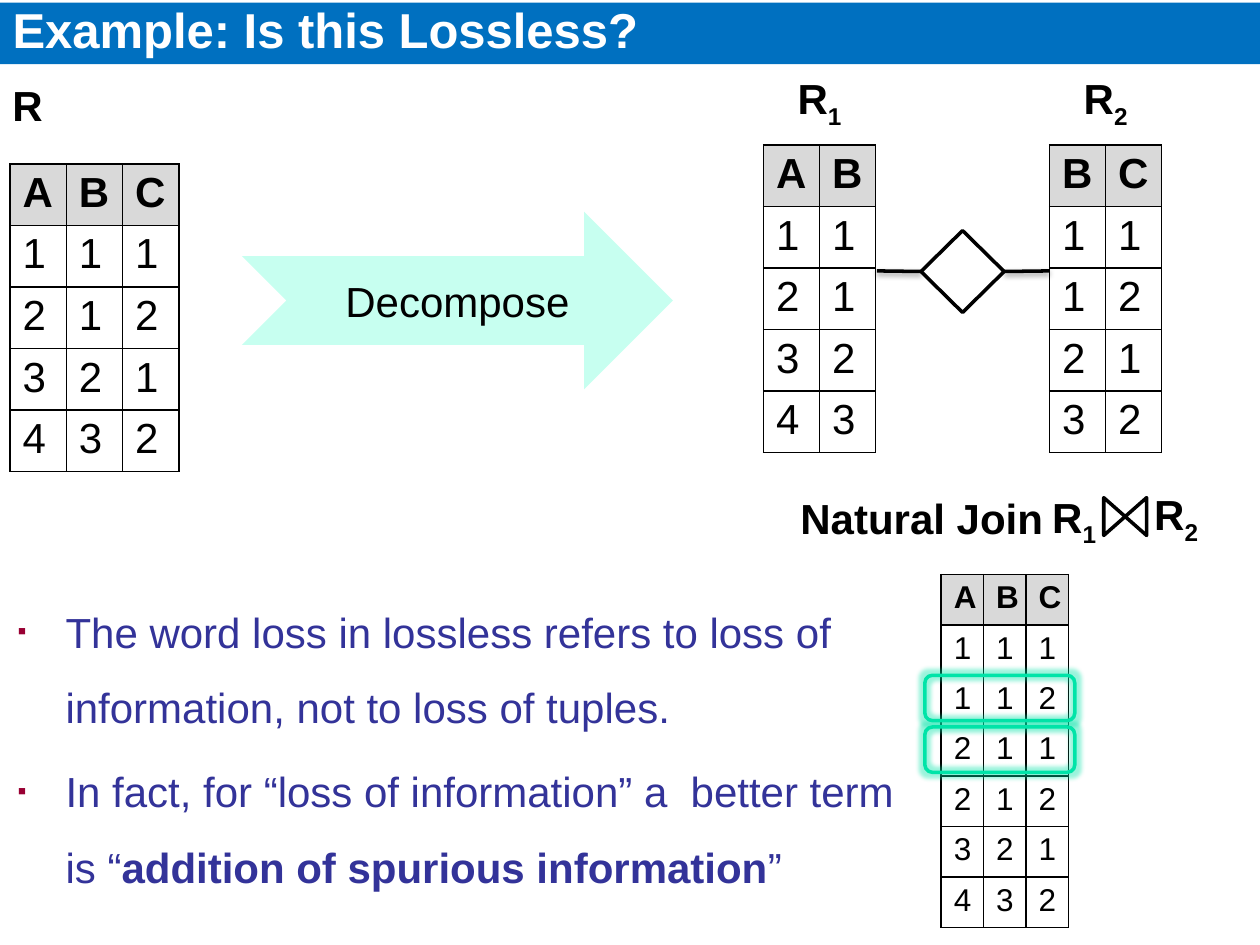
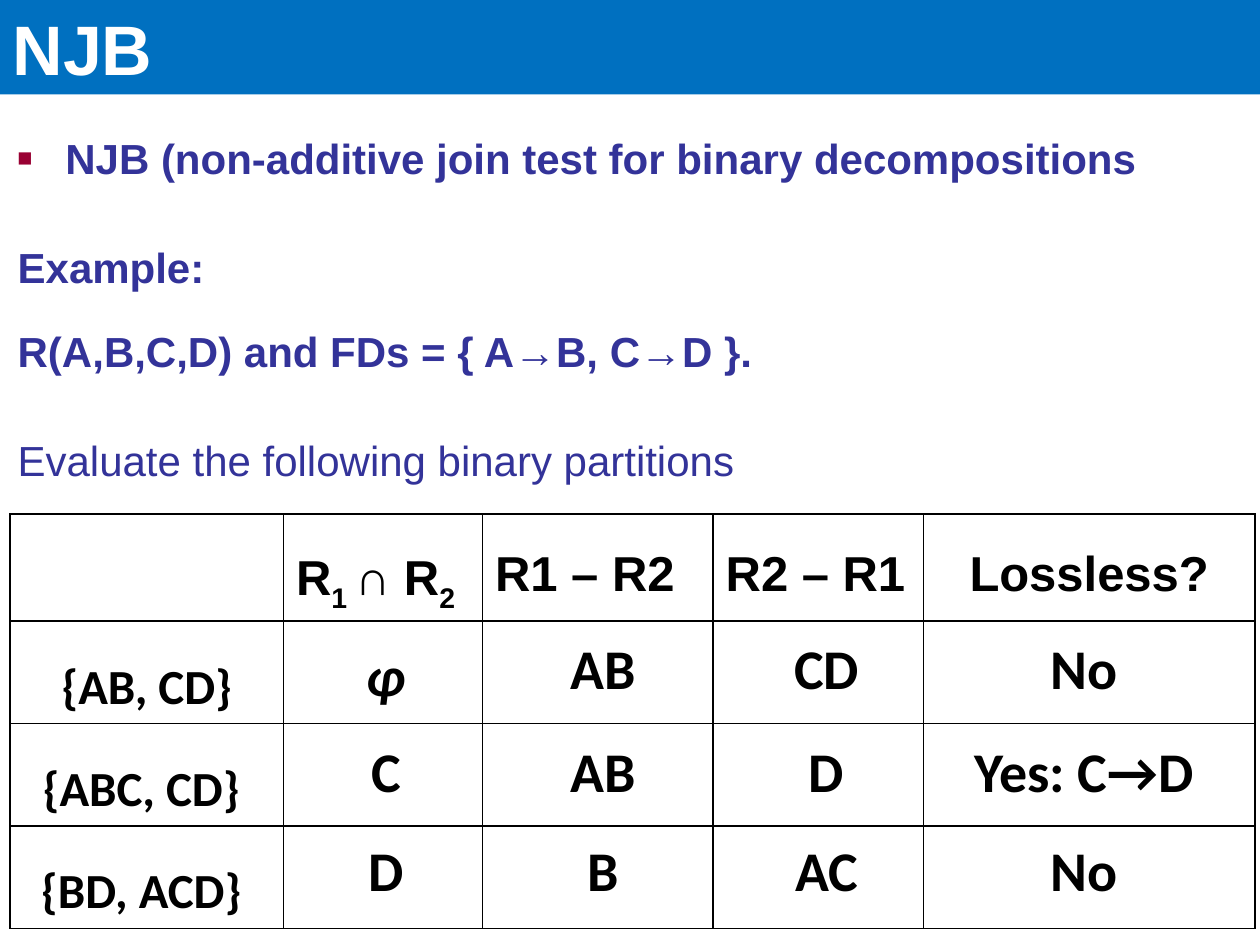
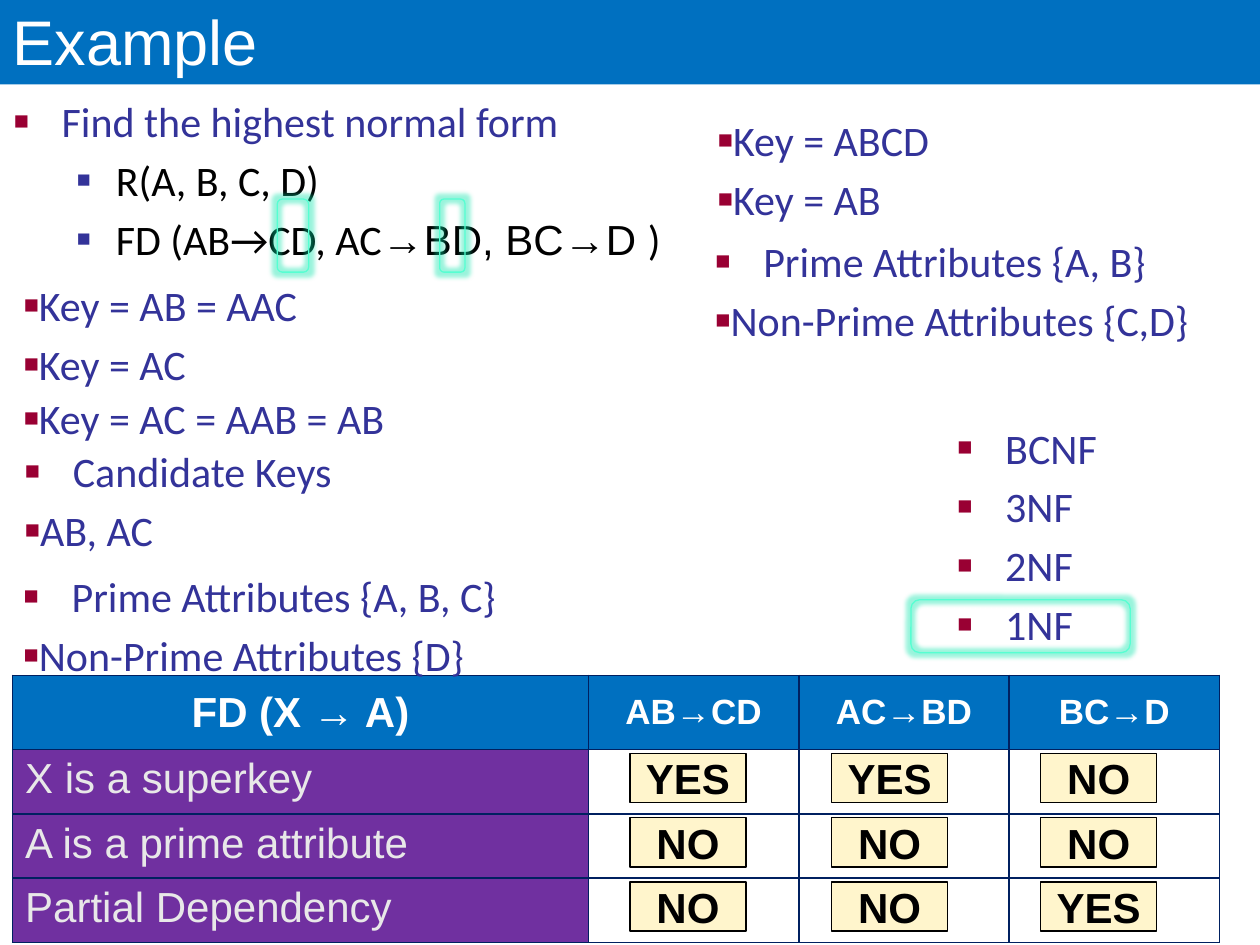
from typing import NamedTuple

from lxml import etree
from pptx import Presentation
from pptx import util as u
from pptx.dml.color import RGBColor
from pptx.enum import shapes, text
from pptx.oxml.ns import qn

BLUE = RGBColor(0x00, 0x70, 0xC0)
NAVY = RGBColor(0x00, 0x20, 0x60)
INDIGO = RGBColor(0x33, 0x33, 0x99)
MAROON = RGBColor(0x99, 0x00, 0x33)
PURPLE = RGBColor(0x70, 0x30, 0xA0)
GREEN = RGBColor(0x00, 0xE4, 0xA8)
AQUA = RGBColor(0x56, 0xFF, 0xD2)
MINT = RGBColor(0xC7, 0xFF, 0xF0)
CREAM = RGBColor(0xFF, 0xF5, 0xCC)
GREY = RGBColor(0xD9, 0xD9, 0xD9)
PALE = RGBColor(0xE8, 0xE8, 0xE8)
WHITE = RGBColor(0xFF, 0xFF, 0xFF)
BLACK = RGBColor(0x00, 0x00, 0x00)

ARIAL, CALIBRI = "Arial", "Calibri"
CENTER = text.PP_ALIGN.CENTER
TOP, MIDDLE, BOTTOM = text.MSO_ANCHOR.TOP, text.MSO_ANCHOR.MIDDLE, text.MSO_ANCHOR.BOTTOM
HANGING, FLUSH, NESTED = (0.38, -0.38), (0, -0.44), (0.81, -0.31)
UNIT = u.Inches(0.1)
SUB = {"sub": True}


class Box(NamedTuple):
    """A rectangle in cells of the slide's grid of 100 columns and 75 rows."""
    x: float
    y: float
    w: float
    h: float

    def inner(self, dx, dy, w, h):
        """Return a box placed from this box's top left corner."""
        return Box(self.x + dx, self.y + dy, w, h)

    def emu(self):
        """Return left, top, width and height as lengths."""
        return [u.Emu(round(v * UNIT)) for v in self]


SLIDE = Box(0, 0, 100, 75)


def write(p, runs, size=24, color=BLACK, font=ARIAL, bold=False, align=None):
    """Fill a paragraph with a string or with (text, overrides) runs."""
    p.alignment = align
    for words, changes in [(runs, {})] if isinstance(runs, str) else runs:
        r = p.add_run()
        r.text = words
        r.font.size = u.Pt(size)
        r.font.name = changes.get("font", font)
        r.font.bold = changes.get("bold", bold)
        r.font.italic = changes.get("italic")
        r.font.color.rgb = color
        if changes.get("sub"):
            r._r.get_or_add_rPr().set("baseline", "-25000")


def bullet(p, indent, char="■", color=MAROON, percent=60):
    """Give a paragraph its hanging indent and coloured bullet."""
    pPr = p._p.get_or_add_pPr()
    for name, value in zip(("marL", "indent"), indent):
        pPr.set(name, str(u.Inches(value)))
    clr = etree.SubElement(pPr, qn("a:buClr"))
    etree.SubElement(clr, qn("a:srgbClr"), val=str(color))
    etree.SubElement(pPr, qn("a:buSzPct"), val=str(percent * 1000))
    etree.SubElement(pPr, qn("a:buFont"), typeface=ARIAL)
    etree.SubElement(pPr, qn("a:buChar"), char=char)


def no_bullet(p):
    """Remove the inherited bullet and indent."""
    pPr = p._p.get_or_add_pPr()
    pPr.set("marL", "0")
    pPr.set("indent", "0")
    etree.SubElement(pPr, qn("a:buNone"))


def place(sp, box):
    """Move a placeholder to a box."""
    sp.left, sp.top, sp.width, sp.height = box.emu()


def list_frame(sp):
    """Prepare a list's text frame."""
    tf = sp.text_frame
    tf.word_wrap = True
    tf.auto_size = text.MSO_AUTO_SIZE.NONE
    tf.margin_right = 0
    return tf


def paragraphs(tf, count):
    """Return count paragraphs with the spacing all lists share."""
    ps = [tf.paragraphs[0]] + [tf.add_paragraph() for _ in range(count - 1)]
    for p in ps:
        p.space_before = u.Pt(4.8)
    return ps


def bullets(sp, items, **style):
    """Write (runs, indent) items as a bulleted list."""
    for p, (runs, indent) in zip(paragraphs(list_frame(sp), len(items)), items):
        nested = indent == NESTED
        p.level = int(nested)
        bullet(p, indent, color=INDIGO if nested else MAROON, percent=55 if nested else 60)
        write(p, runs, color=BLACK if nested else INDIGO, **style)


def label(parent, box, runs, **style):
    """Add a centred one-line text."""
    sp = parent.add_textbox(*box.emu())
    sp.text_frame.word_wrap = False
    write(sp.text_frame.paragraphs[0], runs, **{"bold": True, "align": CENTER, **style})
    return sp


def figure(parent, kind, box, fill=None, line=None, width=2.0):
    """Add a flat preset shape."""
    sp = parent.add_shape(kind, *box.emu())
    sp.shadow.inherit = False
    if fill is None:
        sp.fill.background()
    else:
        sp.fill.solid()
        sp.fill.fore_color.rgb = fill
    if line is None:
        sp.line.fill.background()
    else:
        sp.line.color.rgb = line
        sp.line.width = u.Pt(width)
    return sp


def effect(effects, tag, color, alpha, **attributes):
    """Add a glow or shadow to an effect list."""
    node = etree.SubElement(effects, qn(tag), **attributes)
    clr = etree.SubElement(node, qn("a:srgbClr"), val=str(color))
    etree.SubElement(clr, qn("a:alpha"), val=str(alpha * 1000))


def highlight(parent, box, color, width):
    """Add a glowing rounded outline."""
    sp = figure(parent, shapes.MSO_SHAPE.ROUNDED_RECTANGLE, box, None, color, width)
    effects = sp._element.spPr.find(qn("a:effectLst"))
    effect(effects, "a:glow", GREEN, 40, rad=str(u.Pt(5)))


def fill_cell(cell, color):
    """Fill a table cell with one colour."""
    cell.fill.solid()
    cell.fill.fore_color.rgb = color


def ruled_table(parent, box, cols, rows, line):
    """Add an unfilled table with every border drawn."""
    table = parent.add_table(len(rows), len(cols), *box.emu()).table
    table.first_row = table.horz_banding = False
    for column, width in zip(table.columns, cols):
        column.width = u.Emu(round(width * UNIT))
    for row, height in zip(table.rows, rows):
        row.height = u.Emu(round(height * UNIT))
    for cell in table.iter_cells():
        cell.fill.background()
        tcPr = cell._tc.get_or_add_tcPr()
        for i, side in enumerate("LRTB"):
            ln = etree.Element(qn("a:ln" + side), w=str(u.Pt(1)))
            solid = etree.SubElement(ln, qn("a:solidFill"))
            etree.SubElement(solid, qn("a:srgbClr"), val=str(line))
            tcPr.insert(i, ln)
    return table


def relation(parent, box, tuples, size=24):
    """Draw a relation: a grey header row above its tuples."""
    n, m = len(tuples[0]), len(tuples)
    table = ruled_table(parent, box, [box.w / n] * n, [box.h / m] * m, BLACK)
    for i, values in enumerate(tuples):
        for j, value in enumerate(values):
            cell = table.cell(i, j)
            cell.margin_top = cell.margin_bottom = u.Pt(3.2)
            write(cell.text_frame.paragraphs[0], value, size, bold=i == 0)
            if i == 0:
                fill_cell(cell, GREY)


def titled_slide(prs, title, box, size, anchor, bold=True):
    """Add a slide with the blue title band."""
    s = prs.slides.add_slide(prs.slide_layouts[1])
    sp = s.shapes.title
    place(sp, box)
    sp.fill.solid()
    sp.fill.fore_color.rgb = BLUE
    tf = sp.text_frame
    tf.auto_size = text.MSO_AUTO_SIZE.NONE
    tf.vertical_anchor = anchor
    write(tf.paragraphs[0], title, size, WHITE, bold=bold, align=text.PP_ALIGN.LEFT)
    return s


def decomposition(parent, box):
    """Draw R1 and R2 joined by a diamond."""
    for dx, name, tuples in ((0, "1", ("AB", "11", "21", "32", "43")),
                             (22.7, "2", ("BC", "11", "12", "21", "32"))):
        relation(parent, box.inner(dx, 6.2, 8.9, 20), tuples)
        label(parent, box.inner(dx + 1.6, 0, 5.7, 5), [("R", {}), (name, SUB)])
    diamond = figure(parent, shapes.MSO_SHAPE.DIAMOND, box.inner(12.5, 13, 6.6, 6.5), WHITE, BLACK)
    for site, dx in ((1, 9), (3, 22.7)):
        x, y, _, _ = box.inner(dx, 16.2, 0, 0).emu()
        link = parent.add_connector(shapes.MSO_CONNECTOR.STRAIGHT, x, y, x, y)
        link.begin_connect(diamond, site)
        link.line.color.rgb = BLACK
        link.line.width = u.Pt(2)
        effects = etree.SubElement(link._element.spPr, qn("a:effectLst"))
        effect(effects, "a:outerShdw", BLACK, 38, blurRad=str(u.Pt(3.1)),
               dist=str(u.Pt(1.6)), dir="5400000", rotWithShape="0")


def natural_join(parent, box):
    """Draw the join's heading, its tuples and the spurious ones."""
    heading = parent.add_group_shape().shapes
    label(heading, box.inner(0, 0.2, 21.5, 5), "Natural Join")
    label(heading, box.inner(20, 0.1, 5.7, 5), [("R", {}), ("1", SUB)])
    label(heading, box.inner(28.1, -0.1, 5.7, 5), [("R", {}), ("2", SUB)])
    bowtie = figure(heading, shapes.MSO_SHAPE.FLOWCHART_COLLATE,
                    box.inner(25.4, 0.9, 3, 3.4), WHITE, BLACK)
    bowtie.rotation = 90
    tuples = ("ABC", "111", "112", "211", "212", "321", "432")
    relation(parent, box.inner(12.3, 7.2, 10.1, 28), tuples, 18)
    for row in range(2):
        highlight(parent, box.inner(11, 15.2 + 4.1 * row, 11.9, 3.6), GREEN, 2)


def lossless_slide(prs):
    """Build the slide on lossless decomposition."""
    s = titled_slide(prs, "Example: Is this Lossless?", Box(0, 0.2, 100, 4.9), 28, BOTTOM)
    label(s.shapes, SLIDE.inner(0, 5.8, 4.1, 5), "R")
    relation(s.shapes, SLIDE.inner(0.8, 13, 13.4, 20), ("ABC", "111", "212", "321", "432"))
    decomposition(s.shapes, SLIDE.inner(60.6, 5.3, 31.6, 26.2))
    natural_join(s.shapes, SLIDE.inner(62.4, 38.4, 33.8, 35.2))
    arrow = figure(s.shapes, shapes.MSO_SHAPE.NOTCHED_RIGHT_ARROW,
                   SLIDE.inner(19.2, 16.8, 34.2, 14.1), MINT)
    arrow.text_frame.word_wrap = False
    arrow.text_frame.vertical_anchor = MIDDLE
    write(arrow.text_frame.paragraphs[0], "Decompose", align=CENTER)

    body = s.placeholders[1]
    place(body, SLIDE.inner(0.4, 45.6, 71.3, 29.4))
    remarks = ("The word loss in lossless refers to loss of information, not to loss of tuples.",
               [("In fact, for “loss of information” a  better term is “", {}),
                ("addition of spurious information", {"bold": True}), ("”", {})])
    for p, runs in zip(paragraphs(list_frame(body), 2), remarks):
        bullet(p, HANGING, "▪")
        p.line_spacing = 1.5
        write(p, runs, color=INDIGO)


def partition_table(parent, box):
    """Draw the partitions and the answers laid over their cells."""
    table = ruled_table(parent, box, [21.7, 15.8, 18.3, 16.7, 26.3], [8.5, 8.1, 8.1, 8.1], BLACK)
    heads = ([("R", {}), ("1 ", SUB), ("∩ R", {}), ("2", SUB)], "R1 – R2", "R2 – R1", "Lossless?")
    for j, head in enumerate(heads, 1):
        p = table.cell(0, j).text_frame.paragraphs[0]
        p.line_spacing = 1.5
        write(p, head, 28, bold=True, align=CENTER if j == 4 else None)
    for i, partition in enumerate(("{AB, CD}", "{ABC, CD} ", "{BD, ACD} "), 1):
        p = table.cell(i, 0).text_frame.paragraphs[0]
        p.line_spacing = 1.5
        write(p, partition, 28, font=CALIBRI, bold=True, align=CENTER)

    answers = (("", "AB", "CD", "No"), ("C", "AB", "D", "Yes: C→D"), ("D", "B", "AC", "No"))
    columns = ((27.4, 4.9), (43.3, 7.5), (61.1, 7.4), (73, 24.5))
    for dy, row in zip((9, 17.2, 25), answers):
        for (dx, w), answer in zip(columns, row):
            if answer:
                label(parent, box.inner(dx, dy, w, 6.4), answer, size=32, font=CALIBRI)
    phi = label(parent, box.inner(26.4, 6.9, 6.8, 9.1), [("φ", {"italic": True})],
                size=32, font=CALIBRI)
    phi.text_frame.paragraphs[0].line_spacing = 1.5


def njb_slide(prs):
    """Build the slide on the non-additive join test."""
    s = titled_slide(prs, "NJB", Box(0, 0, 100, 7.5), 40, MIDDLE)
    body = s.placeholders[1]
    place(body, SLIDE.inner(0.4, 16.7, 99.2, 21.8))
    lines = ("Example:", "R(A,B,C,D) and FDs = { A→B, C→D }.",
             "Evaluate the following binary partitions")
    ps = paragraphs(list_frame(body), len(lines))
    for p, line in zip(ps, lines):
        no_bullet(p)
        p.line_spacing = 1.5
        write(p, line, color=INDIGO, bold=p is not ps[-1])
    ps[-1].space_before = u.Pt(19)
    partition_table(s.shapes, SLIDE.inner(0.8, 40.8, 98.8, 32.8))
    sp = s.shapes.add_textbox(*SLIDE.inner(0.4, 10, 99.2, 6.7).emu())
    bullets(sp, [("NJB (non-additive join test for binary decompositions", HANGING)], bold=True)


def dependency_table(parent, box):
    """Draw the dependency checks with a cream tag for each verdict."""
    table = ruled_table(parent, box, [45.7, 16.7, 16.7, 16.7], [5.9, 5.1, 5.1, 5.1], NAVY)
    for j, head in enumerate(("FD (X → A)", "AB→CD", "AC→BD", "BC→D")):
        cell = table.cell(0, j)
        fill_cell(cell, BLUE)
        cell.vertical_anchor = MIDDLE
        write(cell.text_frame.paragraphs[0], head, 20 if j else 24, WHITE, bold=True, align=CENTER)
    checks = (("X is a superkey", "YES", "YES", "NO"),
              ("A is a prime attribute", "NO", "NO", "NO"),
              ("Partial Dependency", "NO", "NO", "YES"))
    for i, (check, *verdicts) in enumerate(checks):
        cell = table.cell(i + 1, 0)
        fill_cell(cell, PURPLE)
        write(cell.text_frame.paragraphs[0], check, color=PALE)
        for dx, verdict in zip((49, 65, 81.6), verdicts):
            tag = figure(parent, shapes.MSO_SHAPE.RECTANGLE,
                         box.inner(dx, 6.2 + 5.1 * i, 9.2, 3.9), CREAM, BLACK, 0.75)
            tag.text_frame.word_wrap = False
            tag.text_frame.vertical_anchor = MIDDLE
            write(tag.text_frame.paragraphs[0], verdict, bold=True, align=CENTER)


def normal_form_slide(prs):
    """Build the slide that finds the highest normal form."""
    s = titled_slide(prs, "Example", Box(0, 0, 100, 6.7), 36, BOTTOM, False)
    body = s.placeholders[1]
    place(body, SLIDE.inner(0.1, 7.1, 54.9, 13.7))
    bullets(body, [("Find the highest normal form", HANGING),
                   ("R(A, B, C, D)", NESTED),
                   ([("FD (AB→CD, AC", {}), ("→BD, BC→D ", {"font": ARIAL}), (")", {})], NESTED)],
            font=CALIBRI)
    dependency_table(s.shapes, SLIDE.inner(1, 53.6, 95.8, 21.2))
    steps = (
        (Box(55.8, 18.2, 44, 10.8), [("Prime Attributes {A, B}", HANGING),
                                     ("Non-Prime Attributes {C,D}", FLUSH)]),
        (Box(56, 8.6, 26.7, 9.1), [("Key = ABCD", FLUSH), ("Key = AB", FLUSH)]),
        (Box(75, 33, 13.3, 18.1), [(form, HANGING) for form in ("BCNF", "3NF", "2NF", "1NF")]),
        (Box(0.9, 21.7, 38.5, 9.1), [("Key = AB = AAC", FLUSH), ("Key = AC", FLUSH)]),
        (Box(0.9, 30.7, 38.5, 5.6), [("Key = AC = AAB = AB", FLUSH)]),
        (Box(0.9, 44.8, 45, 9.4), [("Prime Attributes {A, B, C}", HANGING),
                                   ("Non-Prime Attributes {D}", FLUSH)]),
        (Box(1, 34.9, 26.6, 10.8), [("Candidate Keys", HANGING), ("AB, AC", FLUSH)]),
    )
    for box, items in steps:
        bullets(s.shapes.add_textbox(*box.emu()), items, font=CALIBRI)
    for box in (Box(72.3, 47.6, 17.4, 4.2), Box(34.9, 15.8, 2, 5.8), Box(22, 15.8, 2.5, 5.8)):
        highlight(s.shapes, box, AQUA, 0.75)


def main():
    """Build the three slides and save them."""
    prs = Presentation()
    prs.slide_width, prs.slide_height = u.Inches(10), u.Inches(7.5)
    lossless_slide(prs)
    njb_slide(prs)
    normal_form_slide(prs)
    prs.save("out.pptx")


if __name__ == "__main__":
    main()
